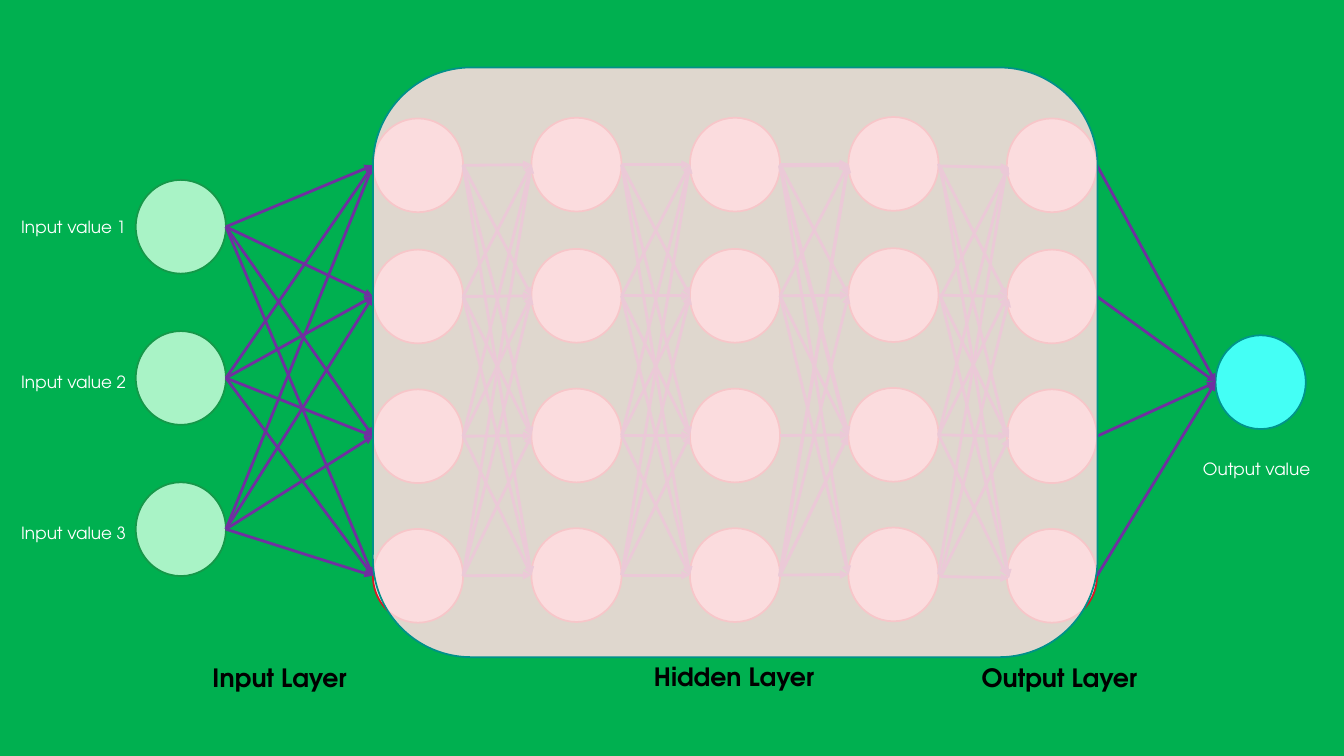
"""Build a slide showing a neural network with input, hidden and output layers."""
import itertools
from dataclasses import dataclass

import lxml.etree
import pptx
import pptx.dml.color
import pptx.enum.shapes
import pptx.oxml.ns
import pptx.util

Pt = pptx.util.Pt
RGB = pptx.dml.color.RGBColor.from_string
MSO_SHAPE = pptx.enum.shapes.MSO_SHAPE
STRAIGHT = pptx.enum.shapes.MSO_CONNECTOR.STRAIGHT
qn = pptx.oxml.ns.qn


@dataclass(frozen=True)
class Theme:
    font: str = "TeX Gyre Adventor"
    background: str = "00B050"
    input_node: tuple = ("A9F3C6", "159849")
    hidden_node: tuple = ("FCE3DF", "D81624")
    output_node: tuple = ("44FFF5", "00948C")
    panel: tuple = ("FBDCDE", "009189")
    panel_alpha: str = "89000"
    link: str = "7030A0"
    layer_text: str = "000000"
    value_text: str = "FFFFFF"
    layer_size: int = 18
    value_size: int = 12
    outline: float = 1.25
    link_width: float = 2


theme = Theme()
NODE_W, NODE_H = 64.4, 67

prs = pptx.Presentation()
prs.slide_width, prs.slide_height = Pt(960), Pt(540)
s = prs.slides.add_slide(prs.slide_layouts[6])
s.background.fill.solid()
s.background.fill.fore_color.rgb = RGB(theme.background)


def add_filled(kind, x, y, w, h, colours):
    sp = s.shapes.add_shape(kind, Pt(x), Pt(y), Pt(w), Pt(h))
    sp.shadow.inherit = False
    sp.fill.solid()
    sp.fill.fore_color.rgb = RGB(colours[0])
    sp.line.color.rgb = RGB(colours[1])
    sp.line.width = Pt(theme.outline)
    return sp


def add_link(start, end, nudge=(0, 0)):
    dx, dy = nudge
    cxn = s.shapes.add_connector(STRAIGHT, Pt(start[0] + dx), Pt(start[1] + dy),
                                 Pt(end[0] + dx), Pt(end[1] + dy))
    cxn.line.color.rgb = RGB(theme.link)
    cxn.line.width = Pt(theme.link_width)
    ln = cxn.line._get_or_add_ln()
    lxml.etree.SubElement(ln, qn("a:tailEnd"), type="triangle")
    lxml.etree.SubElement(cxn._element.spPr, qn("a:effectLst"))


row_centres = [118.1, 211.8, 311.6, 411.3]
column_rises = [0, 0.5, 0.5, 1, 0]
inputs = [(97, 162 + 108 * i) for i in range(3)]
columns = [[(266.4 + 113.2 * c, y - rise) for y in row_centres]
           for c, rise in enumerate(column_rises)]
output = (868.3, 273)

layers = [(inputs, theme.input_node), ([output], theme.output_node)]
layers += [(column, theme.hidden_node) for column in columns]
for nodes, colours in layers:
    for x, y in nodes:
        add_filled(MSO_SHAPE.OVAL, x, y - NODE_H / 2, NODE_W, NODE_H, colours)

missing = {(2, 2, 0), (2, 2, 1), (2, 2, 3)}
doubled = {(2, 0, 0), (2, 0, 2), (2, 3, 0), (2, 3, 2)}
shifted = {(3, 0, 0), (3, 0, 3), (3, 1, 0), (3, 1, 2), (3, 1, 3),
           (3, 3, 1), (3, 3, 2), (3, 3, 3)}

for (x, y), end in itertools.product(inputs, columns[0]):
    add_link((x + NODE_W, y), end)
for gap, i, j in itertools.product(range(4), repeat=3):
    key = (gap, i, j)
    if key in missing:
        continue
    x, y = columns[gap][i]
    start, end = (x + NODE_W, y), columns[gap + 1][j]
    add_link(start, end, (1.5, 1.5) if key in shifted else (0, 0))
    if key in doubled:
        add_link(start, end, (-0.5, 1))
for x, y in columns[-1]:
    add_link((x + NODE_W, y), output)

layer_style = (theme.layer_size, theme.layer_text, True)
value_style = (theme.value_size, theme.value_text, False)
labels = [
    ("Input Layer", 144.7, 469.4, 112.3, 29, layer_style),
    ("Hidden Layer", 460, 468.7, 130.3, 29, layer_style),
    ("Output Layer", 694, 469.4, 130.3, 29, layer_style),
    ("Input value 1", 8, 151.2, 137, 21.8, value_style),
    ("Input value 2", 8, 262, 137, 21.8, value_style),
    ("Input value 3", 8, 370, 137, 21.8, value_style),
    ("Output value", 852.2, 324, 137, 21.8, value_style),
]
for text, x, y, w, h, (size, colour, bold) in labels:
    tf = s.shapes.add_textbox(Pt(x), Pt(y), Pt(w), Pt(h)).text_frame
    tf.word_wrap = True
    r = tf.paragraphs[0].add_run()
    r.text = text
    r.font.name = theme.font
    r.font.size = Pt(size)
    r.font.bold = bold
    r.font.color.rgb = RGB(colour)

panel = add_filled(MSO_SHAPE.ROUNDED_RECTANGLE, 266.4, 48.2, 517.6, 421.2, theme.panel)
panel_colour = panel._element.spPr.find(qn("a:solidFill"))[0]
lxml.etree.SubElement(panel_colour, qn("a:alpha"), val=theme.panel_alpha)

prs.save("out.pptx")
